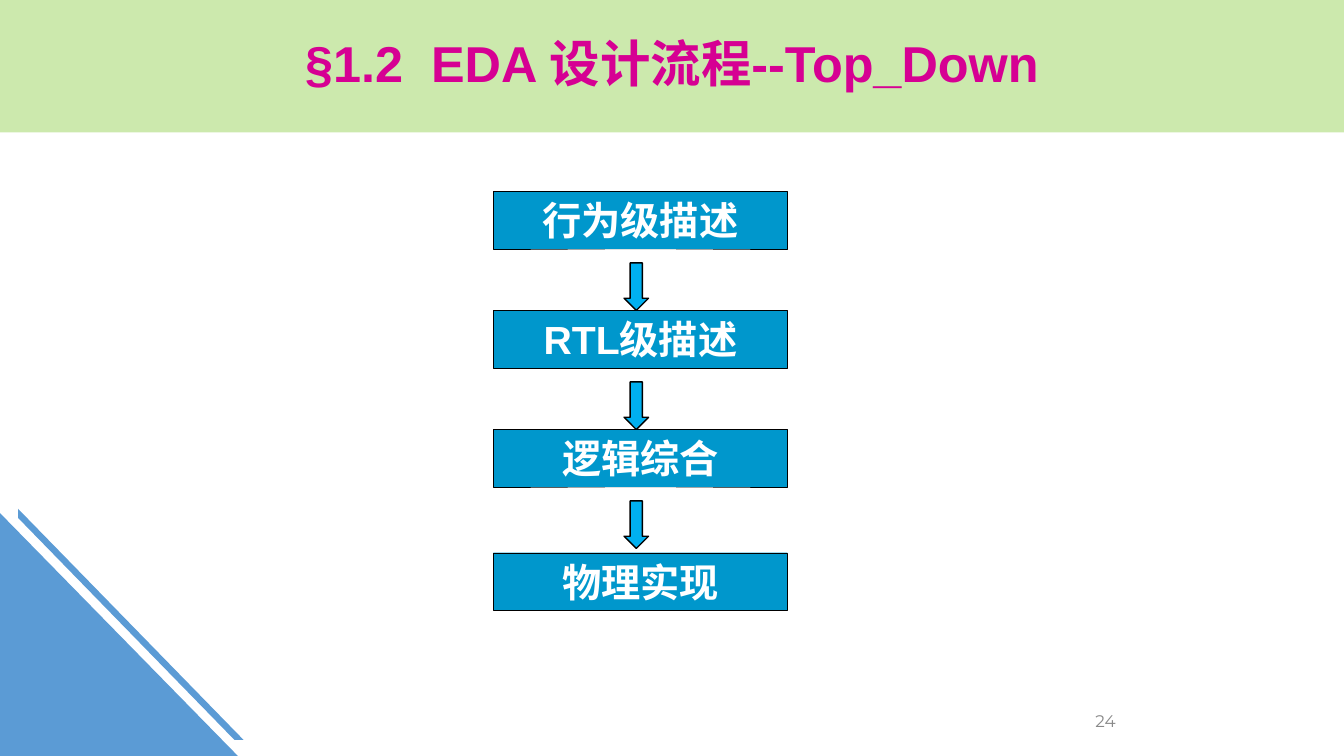
from dataclasses import dataclass

from pptx import Presentation
from pptx.dml.color import RGBColor
from pptx.enum import shapes, text
from pptx.util import Pt


@dataclass(frozen=True)
class Theme:
    banner: RGBColor = RGBColor(0xCC, 0xE9, 0xAD)
    heading: RGBColor = RGBColor(0xD6, 0x00, 0x93)
    step: RGBColor = RGBColor(0x00, 0x97, 0xCC)
    arrow: RGBColor = RGBColor(0x00, 0xB0, 0xF0)
    corner: RGBColor = RGBColor(0x5B, 0x9B, 0xD5)
    outline: RGBColor = RGBColor(0x00, 0x00, 0x00)
    step_text: RGBColor = RGBColor(0xFF, 0xFF, 0xFF)
    number: RGBColor = RGBColor(0x89, 0x89, 0x89)
    main_font: str = "Arial"
    number_font: str = "Montserrat"
    heading_size: int = 36
    step_size: int = 28
    number_size: int = 12


THEME = Theme()
WIDTH, HEIGHT = 960, 540
STEPS = ["行为级描述", "RTL级描述", "逻辑综合", "物理实现"]


def write(part, words, size, color, align, font=THEME.main_font, bold=True):
    """Put one centred-in-height line of text into a shape."""
    frame = part.text_frame
    frame.word_wrap = True
    frame.auto_size = text.MSO_AUTO_SIZE.NONE
    frame.vertical_anchor = text.MSO_ANCHOR.MIDDLE
    frame.margin_top = frame.margin_bottom = 0
    line = frame.paragraphs[0]
    line.text = words
    line.alignment = align
    line.font.name = font
    line.font.size = Pt(size)
    line.font.bold = bold
    line.font.color.rgb = color
    return line


def paint(part, fill, outline_width=None):
    part.shadow.inherit = False
    part.fill.solid()
    part.fill.fore_color.rgb = fill
    if outline_width is None:
        part.line.fill.background()
    else:
        part.line.color.rgb = THEME.outline
        part.line.width = Pt(outline_width)


def add_corner(slide, left, top, width, height):
    """Triangle and parallel stripe in the lower left corner."""
    right, bottom = left + width, top + height
    triangle = [(left, top + 3), (right - 4, bottom), (left, bottom)]
    stripe = [(left + 13, top), (right, bottom - 11.5),
              (right - 6.5, bottom - 11.5), (left + 13, top + 6.5)]
    outlines = [[(Pt(x), Pt(y)) for x, y in points] for points in (triangle, stripe)]
    builder = slide.shapes.build_freeform(*outlines[0][0])
    builder.add_line_segments(outlines[0][1:], close=True)
    builder.move_to(*outlines[1][0])
    builder.add_line_segments(outlines[1][1:], close=True)
    paint(builder.convert_to_shape(), THEME.corner)


def add_banner(slide, left, top, width, height):
    banner = slide.shapes.title
    banner.left, banner.top = Pt(left), Pt(top)
    banner.width, banner.height = Pt(width), Pt(height)
    banner.fill.solid()
    banner.fill.fore_color.rgb = THEME.banner
    heading = write(banner, "§1.2  EDA 设计流程--Top_Down", THEME.heading_size,
                    THEME.heading, text.PP_ALIGN.CENTER)
    heading.line_spacing = 0.9


def add_flow(slide, left, top, width, height):
    """Column of steps; the last one sits flush with the bottom of the box."""
    step_height, pitch = 41, 85
    arrow_width, arrow_height = 17.5, 34
    arrow_left = left + width / 2 - arrow_width / 2 - 3
    last = len(STEPS) - 1
    for i, words in enumerate(STEPS):
        step_top = top + height - step_height if i == last else top + i * pitch
        step = slide.shapes.add_shape(shapes.MSO_SHAPE.RECTANGLE, Pt(left),
                                      Pt(step_top), Pt(width), Pt(step_height))
        paint(step, THEME.step, 0.25)
        write(step, words, THEME.step_size, THEME.step_text, text.PP_ALIGN.CENTER)
        if i < last:
            arrow_top = top + (i + 1) * pitch - arrow_height
            arrow = slide.shapes.add_shape(
                shapes.MSO_SHAPE.DOWN_ARROW, Pt(arrow_left), Pt(arrow_top),
                Pt(arrow_width), Pt(arrow_height))
            paint(arrow, THEME.arrow, 1)


def add_page_number(slide, left, top, width, height):
    number = slide.shapes.add_textbox(Pt(left), Pt(top), Pt(width), Pt(height))
    write(number, "24", THEME.number_size, THEME.number, text.PP_ALIGN.RIGHT,
          THEME.number_font, bold=False)


def main():
    deck = Presentation()
    deck.slide_width, deck.slide_height = Pt(WIDTH), Pt(HEIGHT)
    slide = deck.slides.add_slide(deck.slide_layouts[5])
    add_corner(slide, 0, 363.5, 174, HEIGHT - 363.5)
    add_banner(slide, 0, 0, WIDTH, 94.5)
    add_flow(slide, 352.5, 136.8, 210, 299)
    add_page_number(slide, 636, 500.5, 168, 29)
    deck.save("out.pptx")


if __name__ == "__main__":
    main()
